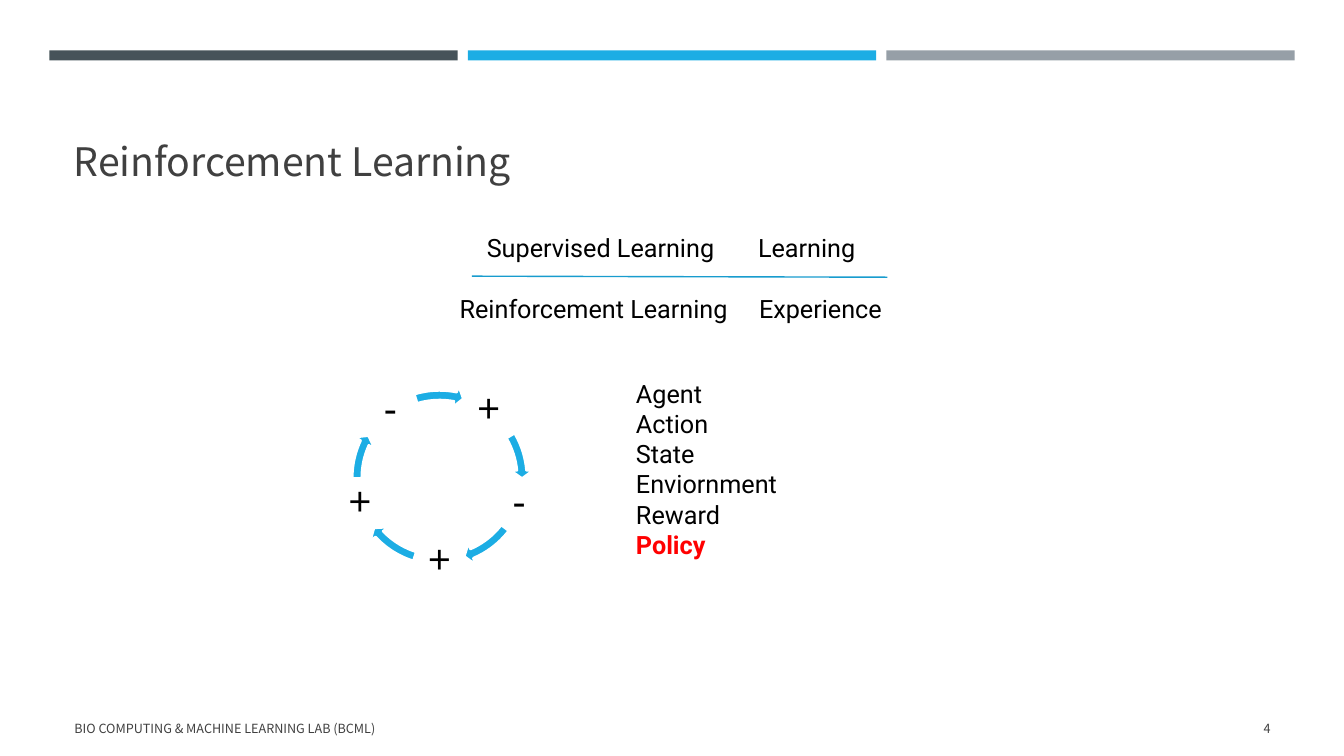
from dataclasses import dataclass
from math import cos, radians, sin

from lxml import etree
from pptx import Presentation
from pptx.dml.color import RGBColor
from pptx.enum.shapes import MSO_CONNECTOR, MSO_SHAPE
from pptx.enum.text import MSO_ANCHOR, MSO_AUTO_SIZE, PP_ALIGN
from pptx.oxml.ns import qn
from pptx.util import Inches, Pt

RECTANGLE = MSO_SHAPE.RECTANGLE
CIRCULAR_ARROW = MSO_SHAPE.CIRCULAR_ARROW
STRAIGHT = MSO_CONNECTOR.STRAIGHT
LEFT, CENTER, RIGHT = PP_ALIGN.LEFT, PP_ALIGN.CENTER, PP_ALIGN.RIGHT
TOP, MIDDLE, BOTTOM = MSO_ANCHOR.TOP, MSO_ANCHOR.MIDDLE, MSO_ANCHOR.BOTTOM
NO_AUTOFIT = MSO_AUTO_SIZE.NONE


@dataclass(frozen=True)
class Theme:
    slate: str = "465359"
    blue: str = "1CADE4"
    gray: str = "969FA7"
    rule: str = "189CCE"
    heading: str = "404040"
    black: str = "000000"
    white: str = "FFFFFF"
    red: str = "FF0000"
    heading_font: str = "Noto Sans CJK KR"
    body_font: str = "Roboto"
    symbol_font: str = "Open Sans"
    title_size: float = 28
    body_size: float = 18
    symbol_size: float = 29
    footer_size: float = 9


THEME = Theme()


@dataclass(frozen=True)
class TextStyle:
    font: str
    size: float
    color: str
    bold: bool = False


TITLE = TextStyle(THEME.heading_font, THEME.title_size, THEME.heading)
FOOTER = TextStyle(THEME.heading_font, THEME.footer_size, THEME.heading)
BODY = TextStyle(THEME.body_font, THEME.body_size, THEME.black)
KEY_TERM = TextStyle(THEME.body_font, THEME.body_size, THEME.red, True)
SYMBOL = TextStyle(THEME.symbol_font, THEME.symbol_size, THEME.black)


@dataclass(frozen=True)
class Label:
    lines: tuple[str, ...]
    left: float
    top: float
    width: float
    height: float
    style: TextStyle
    alignment: PP_ALIGN = LEFT
    anchor: MSO_ANCHOR = TOP
    inset: float | None = None
    line_spacing: float | None = None


@dataclass(frozen=True)
class CycleStep:
    symbol: str
    arrow_start: float
    arrow_end: float


def rgb(color: str) -> RGBColor:
    return RGBColor.from_string(color)


def add_run(paragraph, text: str, style: TextStyle) -> None:
    run = paragraph.add_run()
    run.text = text
    run.font.name = style.font
    run.font.size = Pt(style.size)
    run.font.bold = style.bold
    run.font.color.rgb = rgb(style.color)


def add_label(slide, label: Label) -> None:
    box = slide.shapes.add_textbox(Inches(label.left), Inches(label.top),
                                   Inches(label.width), Inches(label.height))
    frame = box.text_frame
    frame.word_wrap = True
    frame.vertical_anchor = label.anchor
    if label.inset is not None:
        frame.margin_left = frame.margin_right = Inches(label.inset)
        frame.margin_top = frame.margin_bottom = Inches(label.inset)
    for index, line in enumerate(label.lines):
        paragraph = frame.add_paragraph() if index else frame.paragraphs[0]
        paragraph.alignment = label.alignment
        paragraph.line_spacing = label.line_spacing
        add_run(paragraph, line, KEY_TERM if line == "Policy" else label.style)


def add_filled_shape(slide, kind: MSO_SHAPE, left: float, top: float,
                     width: float, height: float, color: str):
    shape = slide.shapes.add_shape(kind, Inches(left), Inches(top),
                                   Inches(width), Inches(height))
    shape.shadow.inherit = False
    shape.fill.solid()
    shape.fill.fore_color.rgb = rgb(color)
    shape.line.fill.background()
    return shape


def add_title(slide, text: str) -> None:
    title = slide.shapes.title
    title.left, title.top = Inches(0.63), Inches(0.8)
    title.width, title.height = Inches(12.06), Inches(1.08)
    frame = title.text_frame
    frame.auto_size = NO_AUTOFIT
    frame.vertical_anchor = BOTTOM
    frame.paragraphs[0].alignment = LEFT
    add_run(frame.paragraphs[0], text, TITLE)


def add_rule(slide) -> None:
    rule = slide.shapes.add_connector(STRAIGHT, Inches(4.68), Inches(2.74),
                                      Inches(8.8), Inches(2.75))
    rule.line.color.rgb = rgb(THEME.rule)
    rule.line.width = Pt(1)
    etree.SubElement(rule._element.spPr, qn("a:effectLst"))


def add_cycle(slide, steps: tuple[CycleStep, ...]) -> None:
    center_x, center_y, radius = 4.36, 4.74, 0.83
    ring, symbol_box = 1.86, 0.5
    turn = 360 / len(steps)
    adjustment_per_degree = 0.6
    for index, step in enumerate(steps):
        angle = radians(index * turn - 54)
        add_label(slide, Label(
            (step.symbol,),
            center_x + radius * cos(angle) - symbol_box / 2,
            center_y + radius * sin(angle) - symbol_box / 2,
            symbol_box, symbol_box, SYMBOL, CENTER, MIDDLE, 0.04, 0.9))
        arrow = add_filled_shape(slide, CIRCULAR_ARROW, center_x - ring / 2,
                                 center_y - ring / 2, ring, ring, THEME.blue)
        arrow.line.color.rgb = rgb(THEME.white)
        arrow.line.width = Pt(1.75)
        values = (0.05, 5.6 * adjustment_per_degree,
                  step.arrow_end * adjustment_per_degree,
                  step.arrow_start * adjustment_per_degree, 0.06)
        for position, value in enumerate(values):
            arrow.adjustments[position] = value


STEPS = (
    CycleStep("+", 329.4, 354.9),
    CycleStep("-", 37.5, 66.9),
    CycleStep("+", 107.5, 136.9),
    CycleStep("+", 179.5, 205),
    CycleStep("-", 253.3, 281.1),
)
TERMS = ("Agent", "Action", "State", "Enviornment", "Reward", "Policy")
LABELS = (
    Label(("Supervised Learning",), 4.73, 2.26, 2.6, 0.4, BODY),
    Label(("Learning",), 7.42, 2.26, 1.6, 0.4, BODY),
    Label(("Reinforcement Learning",), 4.46, 2.86, 2.95, 0.4, BODY),
    Label(("Experience",), 7.43, 2.86, 1.6, 0.4, BODY),
    Label(TERMS, 6.21, 3.7, 3, 1.92, BODY),
    Label(("BIO COMPUTING & MACHINE LEARNING LAB (BCML)",),
          0.64, 7.03, 7.56, 0.4, FOOTER, LEFT, MIDDLE),
    Label(("4",), 11.55, 7.03, 1.15, 0.4, FOOTER, RIGHT, MIDDLE),
)

presentation = Presentation()
presentation.slide_width, presentation.slide_height = Inches(13.33), Inches(7.5)
slide = presentation.slides.add_slide(presentation.slide_layouts[5])

for column, color in enumerate((THEME.slate, THEME.blue, THEME.gray)):
    add_filled_shape(slide, RECTANGLE, 0.49 + column * 4.15, 0.5, 4.05, 0.1, color)
add_title(slide, "Reinforcement Learning")
add_rule(slide)
add_cycle(slide, STEPS)
for label in LABELS:
    add_label(slide, label)

presentation.save("out.pptx")
